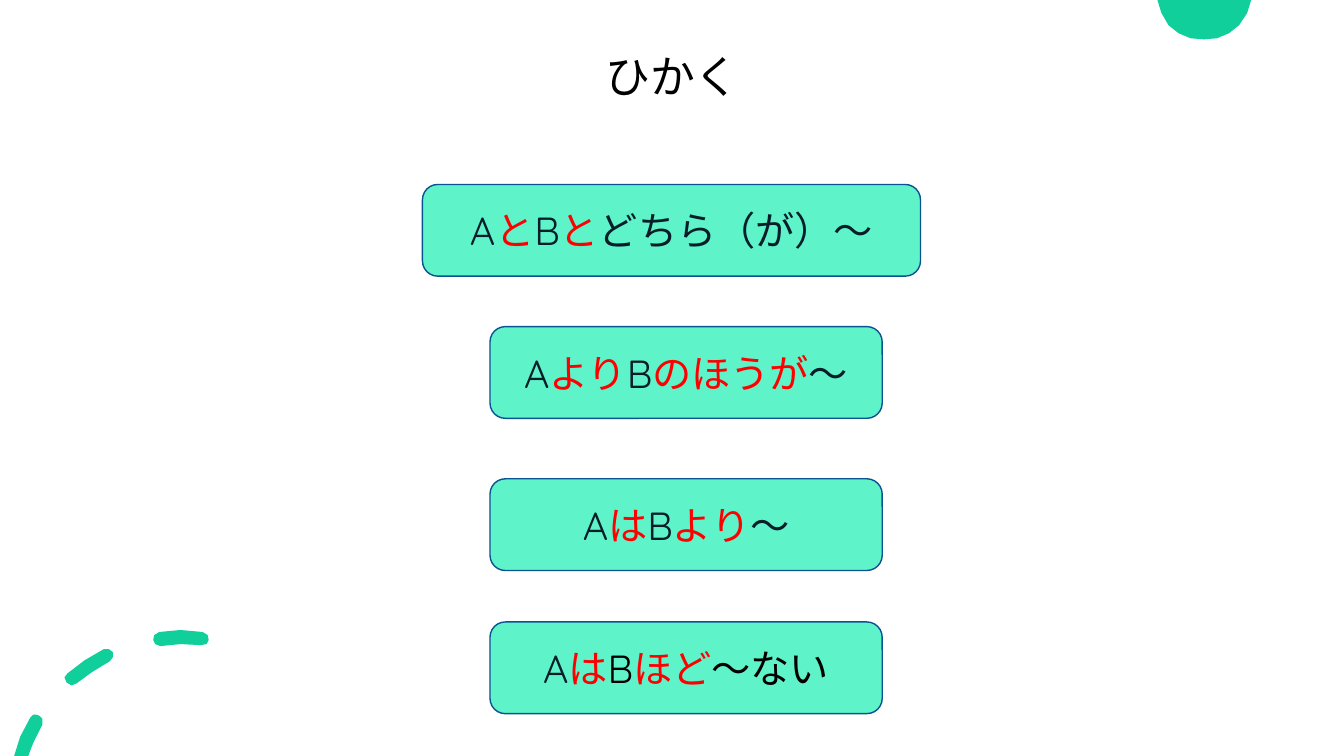
from pptx import Presentation
from pptx.dml.color import RGBColor
from pptx.enum.shapes import MSO_SHAPE as SHAPE
from pptx.enum.text import MSO_ANCHOR as ANCHOR, MSO_AUTO_SIZE as AUTOSIZE, PP_ALIGN as ALIGN
from pptx.util import Inches, Pt

COLORS = {
    "accent": "10CF9B",
    "card": "5FF3CA",
    "border": "0B5292",
    "dark": "071D28",
    "red": "FF0000",
    "black": "000000",
}
FONT = "Quicksand"
CARD_HEIGHT = 0.91

CARDS = [
    (4.19, 1.83, 4.94, "dark dark dark", ["A", "と", "B", "と", "どちら（が）～"]),
    (4.86, 3.24, 3.89, "dark dark dark", ["A", "より", "B", "のほうが", "～"]),
    (4.86, 4.75, 3.89, "dark dark dark", ["A", "は", "B", "より", "～"]),
    (4.86, 6.17, 3.89, "dark black black", ["A", "は", "B", "ほど", "～ない"]),
]

DISC = [[
    (11.48, 0), (12.41, 0),
    (12.37, 0.13), (12.29, 0.25), (12.19, 0.33), (12.07, 0.38), (11.94, 0.39),
    (11.81, 0.38), (11.69, 0.33), (11.59, 0.25), (11.52, 0.13),
]]
DASHES = [
    [
        (0.14, 7.5), (0.2, 7.31), (0.3, 7.12), (0.33, 7.09), (0.36, 7.09),
        (0.39, 7.1), (0.42, 7.13), (0.42, 7.19), (0.33, 7.37), (0.28, 7.5),
    ],
    [
        (1.03, 6.44), (0.84, 6.55), (0.67, 6.68), (0.64, 6.72), (0.66, 6.77),
        (0.71, 6.8), (0.76, 6.78), (0.91, 6.67), (1.09, 6.56), (1.12, 6.52),
        (1.12, 6.47), (1.08, 6.44),
    ],
    [
        (1.79, 6.25), (1.58, 6.27), (1.53, 6.3), (1.52, 6.35), (1.54, 6.39),
        (1.59, 6.41), (1.79, 6.39), (1.99, 6.4), (2.05, 6.39), (2.07, 6.35),
        (2.06, 6.3), (2.01, 6.27),
    ],
]


def rgb(name):
    return RGBColor.from_string(COLORS[name])


def set_attrs(obj, values):
    for name, value in values.items():
        setattr(obj, name, value)


def add_decoration(slide, outlines):
    first, *others = [[(Inches(x), Inches(y)) for x, y in outline] for outline in outlines]
    builder = slide.shapes.build_freeform(*first[0])
    builder.add_line_segments(first[1:])
    for points in others:
        builder.move_to(*points[0])
        builder.add_line_segments(points[1:])
    sp = builder.convert_to_shape()
    sp.shadow.inherit = False
    sp.fill.solid()
    sp.fill.fore_color.rgb = rgb("accent")
    sp.line.fill.background()


def add_run(p, text, size, color):
    r = p.add_run()
    r.text = text
    set_attrs(r.font, {"name": FONT, "size": Pt(size)})
    r.font.color.rgb = rgb(color)


def set_title(slide, text):
    sp = slide.shapes.title
    set_attrs(sp, {"left": Inches(0.92), "top": Inches(0.06),
                   "width": Inches(11.5), "height": Inches(1.45)})
    tf = sp.text_frame
    set_attrs(tf, {"vertical_anchor": ANCHOR.MIDDLE, "auto_size": AUTOSIZE.NONE})
    p = tf.paragraphs[0]
    set_attrs(p, {"alignment": ALIGN.CENTER, "line_spacing": 0.9})
    add_run(p, text, 32, "black")


def add_card(slide, left, top, width, plain_colors, parts):
    sp = slide.shapes.add_shape(SHAPE.ROUNDED_RECTANGLE, Inches(left), Inches(top),
                                Inches(width), Inches(CARD_HEIGHT))
    sp.shadow.inherit = False
    sp.fill.solid()
    sp.fill.fore_color.rgb = rgb("card")
    sp.line.color.rgb = rgb("border")
    sp.line.width = Pt(1)
    tf = sp.text_frame
    set_attrs(tf, {"word_wrap": True, "vertical_anchor": ANCHOR.MIDDLE})
    p = tf.paragraphs[0]
    p.alignment = ALIGN.CENTER
    first, middle, last = plain_colors.split()
    for text, color in zip(parts, (first, "red", middle, "red", last)):
        add_run(p, text, 28, color)


def main():
    prs = Presentation()
    set_attrs(prs, {"slide_width": Inches(13.33), "slide_height": Inches(7.5)})
    slide = prs.slides.add_slide(prs.slide_layouts.get_by_name("Title Only"))
    set_title(slide, "ひかく")
    for outlines in (DISC, DASHES):
        add_decoration(slide, outlines)
    for card in CARDS:
        add_card(slide, *card)
    prs.save("out.pptx")


if __name__ == "__main__":
    main()
